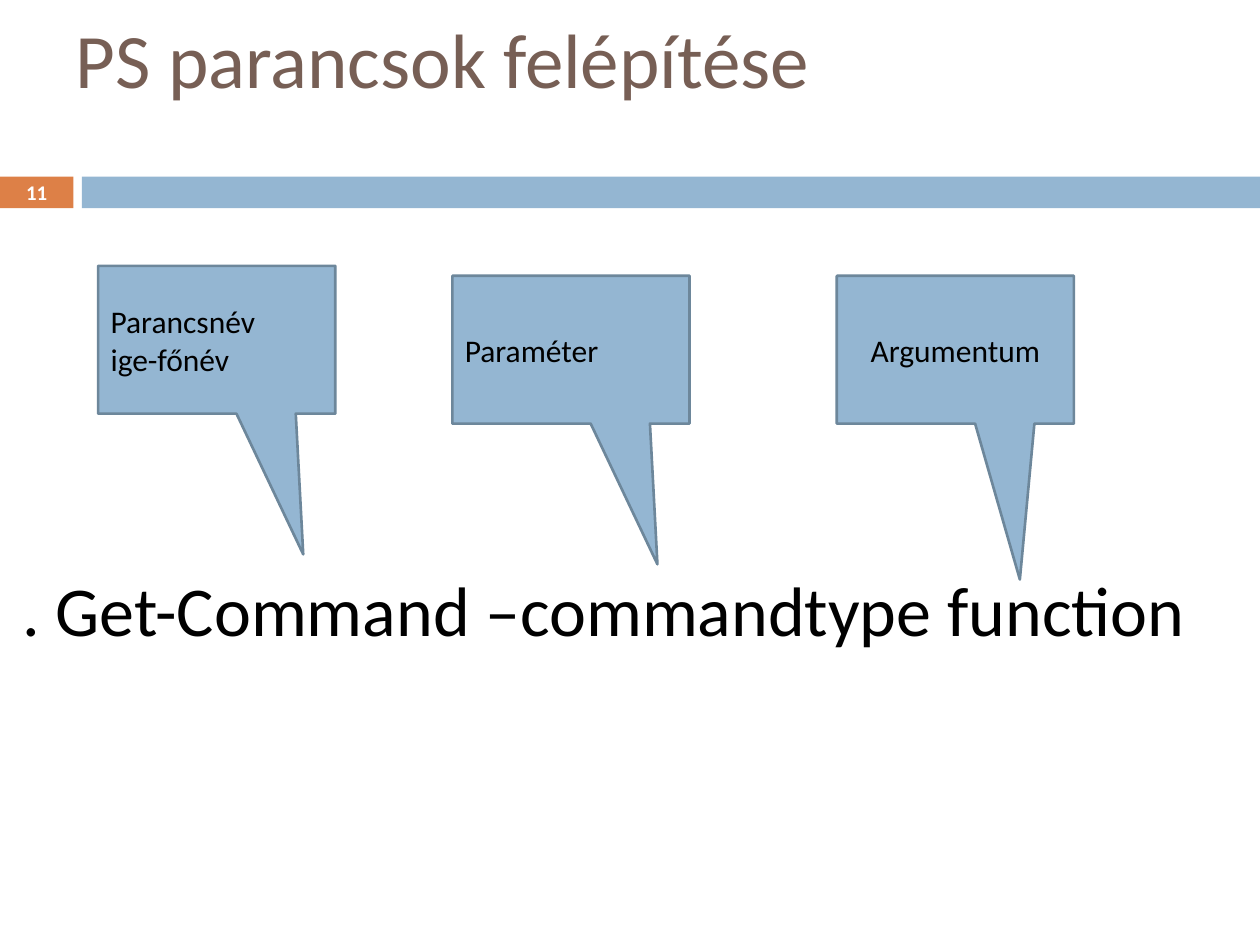
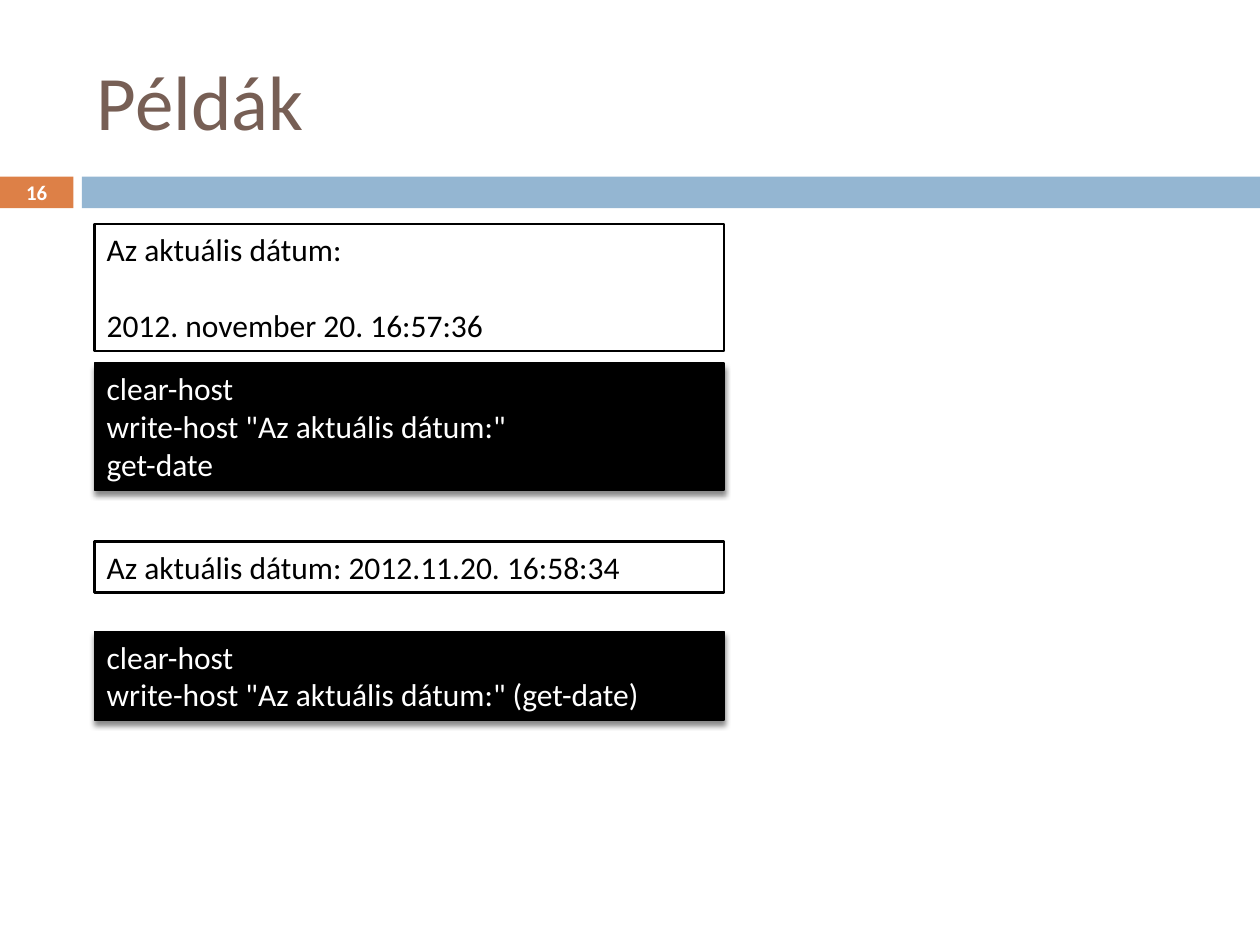
from lxml import etree
from pptx import Presentation
from pptx.dml.color import RGBColor
from pptx.enum.shapes import MSO_SHAPE
from pptx.enum.text import MSO_ANCHOR, MSO_AUTO_SIZE, PP_ALIGN
from pptx.oxml.ns import qn
from pptx.util import Cm, Pt

RECTANGLE = MSO_SHAPE.RECTANGLE
CALLOUT = MSO_SHAPE.RECTANGULAR_CALLOUT
TOP, MIDDLE = MSO_ANCHOR.TOP, MSO_ANCHOR.MIDDLE
LEFT, CENTER = PP_ALIGN.LEFT, PP_ALIGN.CENTER
NO_FIT = MSO_AUTO_SIZE.NONE

ORANGE = RGBColor(0xDD, 0x80, 0x47)
BLUE = RGBColor(0x94, 0xB6, 0xD2)
SLATE = RGBColor(0x6D, 0x87, 0x9B)
BROWN = RGBColor(0x77, 0x5F, 0x55)
BLACK = RGBColor(0, 0, 0)
WHITE = RGBColor(0xFF, 0xFF, 0xFF)

FONT = "Calibri"
PAGE_WIDTH, PAGE_HEIGHT = 25.4, 19.05
BAND_TOP, BAND_HEIGHT = 3.56, 0.64
NUMBER_WIDTH, BAND_LEFT = 1.48, 1.65
LINE_HEIGHT, BOX_PADDING = 0.77, 0.25


def write(shape, text, size, color, align=LEFT, anchor=MIDDLE, bold=False):
    frame = shape.text_frame
    frame.text = text
    frame.word_wrap = True
    frame.auto_size = NO_FIT
    frame.vertical_anchor = anchor
    for para in frame.paragraphs:
        para.alignment = align
        for span in para.runs:
            span.font.name = FONT
            span.font.size = Pt(size)
            span.font.bold = bold
            span.font.color.rgb = color


def add_block(page, kind, box, fill, line=None, line_width=1.5):
    block = page.shapes.add_shape(kind, *map(Cm, box))
    block.shadow.inherit = False
    block.fill.solid()
    block.fill.fore_color.rgb = fill
    if line is None:
        block.line.fill.background()
    else:
        block.line.color.rgb = line
        block.line.width = Pt(line_width)
    return block


def add_shadow(shape):
    effects = shape.element.spPr.find(qn("a:effectLst"))
    shadow = etree.SubElement(effects, qn("a:outerShdw"), blurRad=str(Pt(3)),
                              dist=str(Pt(2.4)), dir="5400000", rotWithShape="0")
    color = etree.SubElement(shadow, qn("a:srgbClr"), val=str(BLACK))
    etree.SubElement(color, qn("a:alpha"), val="45000")


def move_bands_to_layout(page, layout):
    boxes = [((0, BAND_TOP, NUMBER_WIDTH, BAND_HEIGHT), ORANGE),
             ((BAND_LEFT, BAND_TOP, PAGE_WIDTH - BAND_LEFT, BAND_HEIGHT), BLUE)]
    for index, (box, color) in enumerate(boxes):
        band = add_block(page, RECTANGLE, box, color)
        layout.shapes.element.insert(2 + index, band.element)


def add_page(deck, layout, title, title_box, number):
    page = deck.slides.add_slide(layout)
    heading = page.shapes.title
    heading.left, heading.top, heading.width, heading.height = map(Cm, title_box)
    write(heading, title, 44, BROWN)
    number_box = page.shapes.add_textbox(
        0, Cm(BAND_TOP), Cm(NUMBER_WIDTH), Cm(BAND_HEIGHT))
    write(number_box, str(number), 11.9, WHITE, CENTER, MIDDLE, True)
    return page


def add_callout(page, box, text, pointer, align=LEFT):
    callout = add_block(page, CALLOUT, box, BLUE, SLATE)
    callout.adjustments[0], callout.adjustments[1] = pointer
    write(callout, text, 18, BLACK, align)


def add_command_diagram(page, box):
    left, top, width, height = box
    callouts = [
        (0, 0, "Parancsnév\vige-főnév", (0.365, 1.452), LEFT),
        (7.14, 0.2, "Paraméter", (0.365, 1.452), LEFT),
        (14.89, 0.2, "Argumentum", (0.272, 1.555), CENTER),
    ]
    for across, down, text, pointer, align in callouts:
        add_callout(page, (left + across, top + down, 4.78, 2.98), text, pointer, align)
    command = page.shapes.add_textbox(
        Cm(left - 1.78), Cm(top + height - 1.96), Cm(width), Cm(1.96))
    write(command, ". Get-Command –commandtype function", 40, BLACK, anchor=TOP)


def add_listing(page, box, text, fill, color, line_width):
    listing = add_block(page, RECTANGLE, box, fill, BLACK, line_width)
    write(listing, text, 18, color, anchor=TOP)
    return listing


def add_example(page, box, output, code, gap, blank_lines=0):
    left, top, width = box
    output_height = BOX_PADDING + LINE_HEIGHT * (len(output) + blank_lines)
    shown = add_listing(page, (left, top, width, output_height),
                        "\n".join(output), WHITE, BLACK, 1.5)
    if blank_lines:
        shown.text_frame.paragraphs[-1].space_before = Cm(LINE_HEIGHT * blank_lines)
    code_box = (left, top + output_height + gap, width,
                BOX_PADDING + LINE_HEIGHT * len(code))
    add_shadow(add_listing(page, code_box, "\n".join(code), BLACK, WHITE, 0.79))


def main():
    deck = Presentation()
    deck.slide_width, deck.slide_height = Cm(PAGE_WIDTH), Cm(PAGE_HEIGHT)
    layout = deck.slide_layouts.get_by_name("Title Only")

    structure = add_page(deck, layout, "PS parancsok felépítése",
                         (1.27, 0, 24.13, 2.34), 11)
    move_bands_to_layout(structure, layout)
    add_command_diagram(structure, (1.98, 5.36, 25.2, 7.9))

    examples = add_page(deck, layout, "Példák", (1.7, 0.64, 22.66, 2.74), 16)
    add_example(examples, (1.9, 4.52, 12.7),
                ["Az aktuális dátum:", "2012. november 20. 16:57:36"],
                ["clear-host", 'write-host "Az aktuális dátum:"', "get-date"],
                0.24, blank_lines=1)
    add_example(examples, (1.9, 10.92, 12.7),
                ["Az aktuális dátum: 2012.11.20. 16:58:34"],
                ["clear-host", 'write-host "Az aktuális dátum:" (get-date)'],
                0.79)
    deck.save("out.pptx")


if __name__ == "__main__":
    main()
